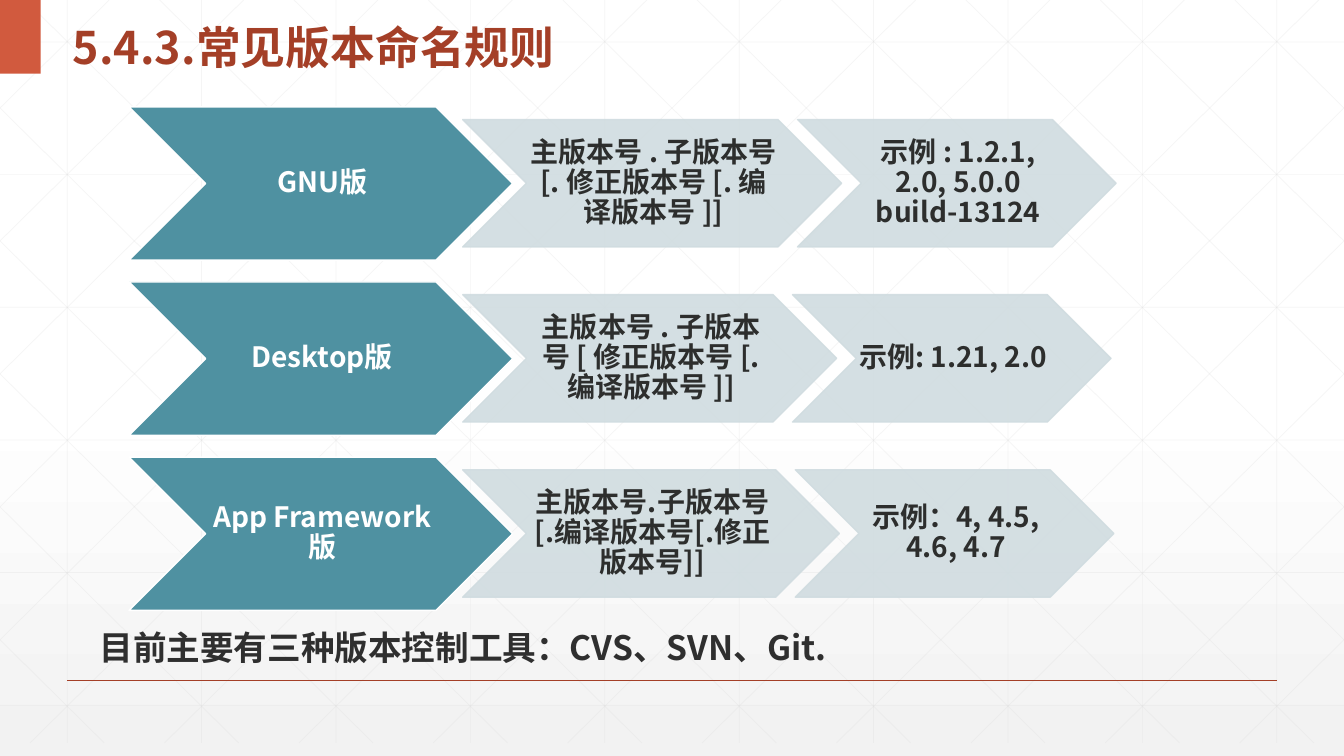
from dataclasses import dataclass

from lxml import etree
from pptx import Presentation
from pptx.dml.color import RGBColor
from pptx.enum.shapes import MSO_CONNECTOR, MSO_SHAPE
from pptx.enum.text import MSO_ANCHOR, PP_ALIGN
from pptx.oxml.ns import qn
from pptx.slide import Slide
from pptx.text.text import TextFrame
from pptx.util import Pt

STRAIGHT = MSO_CONNECTOR.STRAIGHT
RECT, CHEVRON = MSO_SHAPE.RECTANGLE, MSO_SHAPE.CHEVRON
MIDDLE = MSO_ANCHOR.MIDDLE
LEFT, CENTER = PP_ALIGN.LEFT, PP_ALIGN.CENTER

WHITE = RGBColor(0xFF, 0xFF, 0xFF)
SMOKE = RGBColor(0xF2, 0xF2, 0xF2)
GRID = RGBColor(0xD9, 0xD9, 0xD9)
RUST = RGBColor(0xA4, 0x3F, 0x27)
CORAL = RGBColor(0xD1, 0x5A, 0x3E)
TEAL = RGBColor(0x4F, 0x91, 0xA1)
MIST = RGBColor(0xD0, 0xDC, 0xE0)
INK = RGBColor(0x2D, 0x2E, 0x2D)
DARK = RGBColor(0x2F, 0x2F, 0x2F)

FONT = "Noto Sans CJK SC"
WIDE, HIGH = 960, 540
BASE = 530.6
SLANT = 1.011
STEP = 96


@dataclass
class Arrow:
    left: float
    top: float
    width: float
    height: float
    text: str
    fill: RGBColor
    edge: RGBColor
    ink: RGBColor
    alpha: int = 100


@dataclass
class Scheme:
    name: str
    rule: str
    sample: str
    width: float


SCHEMES = [
    Scheme("GNU版", "主版本号 . 子版本号 [. 修正版本号 [. 编译版本号 ]]",
           "示例 : 1.2.1, 2.0, 5.0.0 build-13124", 270.7),
    Scheme("Desktop版", "主版本号 . 子版本号 [ 修正版本号 [. 编译版本号 ]]",
           "示例: 1.21, 2.0", 267.1),
    Scheme("App Framework版", "主版本号.子版本号[.编译版本号[.修正版本号]]",
           "示例：4, 4.5, 4.6, 4.7", 269.1),
]


def fade(fill, alpha: int) -> None:
    color = fill._xPr.find(qn("a:solidFill"))[0]
    etree.SubElement(color, qn("a:alpha")).set("val", str(alpha * 1000))


def rule(slide: Slide, x1: float, y1: float, x2: float, y2: float,
         color: RGBColor, width: float, alpha: int = 100) -> None:
    line = slide.shapes.add_connector(STRAIGHT, Pt(x1), Pt(y1), Pt(x2), Pt(y2))
    line.line.color.rgb = color
    line.line.width = Pt(width)
    if alpha < 100:
        fade(line.line.fill, alpha)
    etree.SubElement(line._element.spPr, qn("a:effectLst"))


def write(frame: TextFrame, text: str, size: float, color: RGBColor,
          align=LEFT, space: float = 1.0) -> None:
    frame.word_wrap = True
    frame.vertical_anchor = MIDDLE
    para = frame.paragraphs[0]
    para.alignment = align
    para.line_spacing = space
    run = para.add_run()
    run.text = text
    font = run.font
    font.size, font.bold, font.name = Pt(size), True, FONT
    font.color.rgb = color
    east = etree.SubElement(run._r.get_or_add_rPr(), qn("a:ea"))
    east.set("typeface", FONT)


def label(slide: Slide, left: float, top: float, width: float, height: float,
          text: str, size: float, color: RGBColor, space: float = 1.0) -> None:
    box = slide.shapes.add_textbox(Pt(left), Pt(top), Pt(width), Pt(height))
    write(box.text_frame, text, size, color, space=space)


def draw(slide: Slide, arrow: Arrow) -> None:
    shape = slide.shapes.add_shape(CHEVRON, Pt(arrow.left), Pt(arrow.top),
                                   Pt(arrow.width), Pt(arrow.height))
    shape.shadow.inherit = False
    shape.fill.solid()
    shape.fill.fore_color.rgb = arrow.fill
    shape.line.color.rgb = arrow.edge
    shape.line.width = Pt(1)
    if arrow.alpha < 100:
        fade(shape.fill, arrow.alpha)
        fade(shape.line.fill, arrow.alpha)
    frame = shape.text_frame
    frame.margin_left, frame.margin_right = Pt(2), Pt(0)
    frame.margin_top = frame.margin_bottom = Pt(1)
    write(frame, arrow.text, 20, arrow.ink, CENTER, 0.9)


def mesh(slide: Slide) -> None:
    for i in range(10):
        x = 48 + STEP * i
        rule(slide, x, 0, x, BASE, GRID, 0.5, 25)
    for i in range(6):
        y = 30 + 94.75 * i
        rule(slide, 0, y, WIDE, y, GRID, 0.5, 25)
    for i in range(-5, 10):
        start = 18 + STEP * i
        x1, x2 = max(start, 0), min(start + BASE * SLANT, WIDE)
        y1, y2 = (x1 - start) / SLANT, (x2 - start) / SLANT
        rule(slide, x1, y1, x2, y2, GRID, 0.5, 25)
        rule(slide, WIDE - x1, y1, WIDE - x2, y2, GRID, 0.5, 25)


def back(slide: Slide) -> None:
    fill = slide.background.fill
    fill.gradient()
    fill.gradient_angle = 270
    for stop, color, spot in zip(fill.gradient_stops, (WHITE, SMOKE), (0.53, 1)):
        stop.color.rgb = color
        stop.position = spot


def main() -> None:
    deck = Presentation()
    deck.slide_width, deck.slide_height = Pt(WIDE), Pt(HIGH)
    slide = deck.slides.add_slide(deck.slide_layouts[6])
    back(slide)
    mesh(slide)
    rule(slide, 48, 486, 912, 486, RUST, 1)
    tab = slide.shapes.add_shape(RECT, Pt(0), Pt(0), Pt(29), Pt(52.6))
    tab.shadow.inherit = False
    tab.fill.solid()
    tab.fill.fore_color.rgb = CORAL
    tab.line.fill.background()
    label(slide, 45, 1.5, 410, 52.6, "5.4.3.常见版本命名规则", 32, RUST, 1.3)
    for i, item in enumerate(SCHEMES):
        top = 76.3 + 125.1 * i
        low = top + 9.1
        draw(slide, Arrow(92.2, top, 274, 109.5, item.name, TEAL, WHITE, WHITE))
        draw(slide, Arrow(330.5, low, item.width, 91, item.rule,
                          MIST, MIST, INK, 90))
        draw(slide, Arrow(299 + item.width, low, 227.5, 91, item.sample,
                          MIST, MIST, INK, 90))
    label(slide, 64, 444.2, 649.5, 36, "目前主要有三种版本控制工具：CVS、SVN、Git.", 24, DARK)
    deck.save("out.pptx")


if __name__ == "__main__":
    main()
